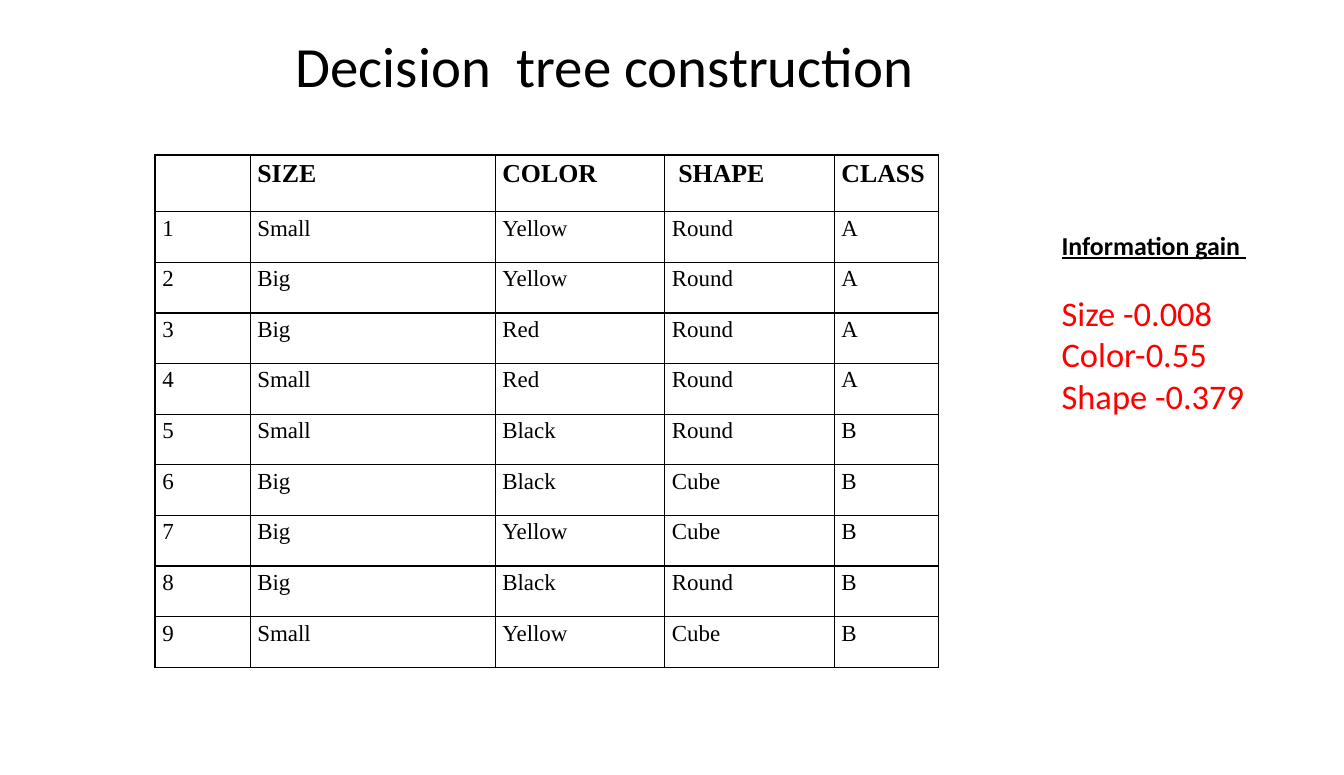
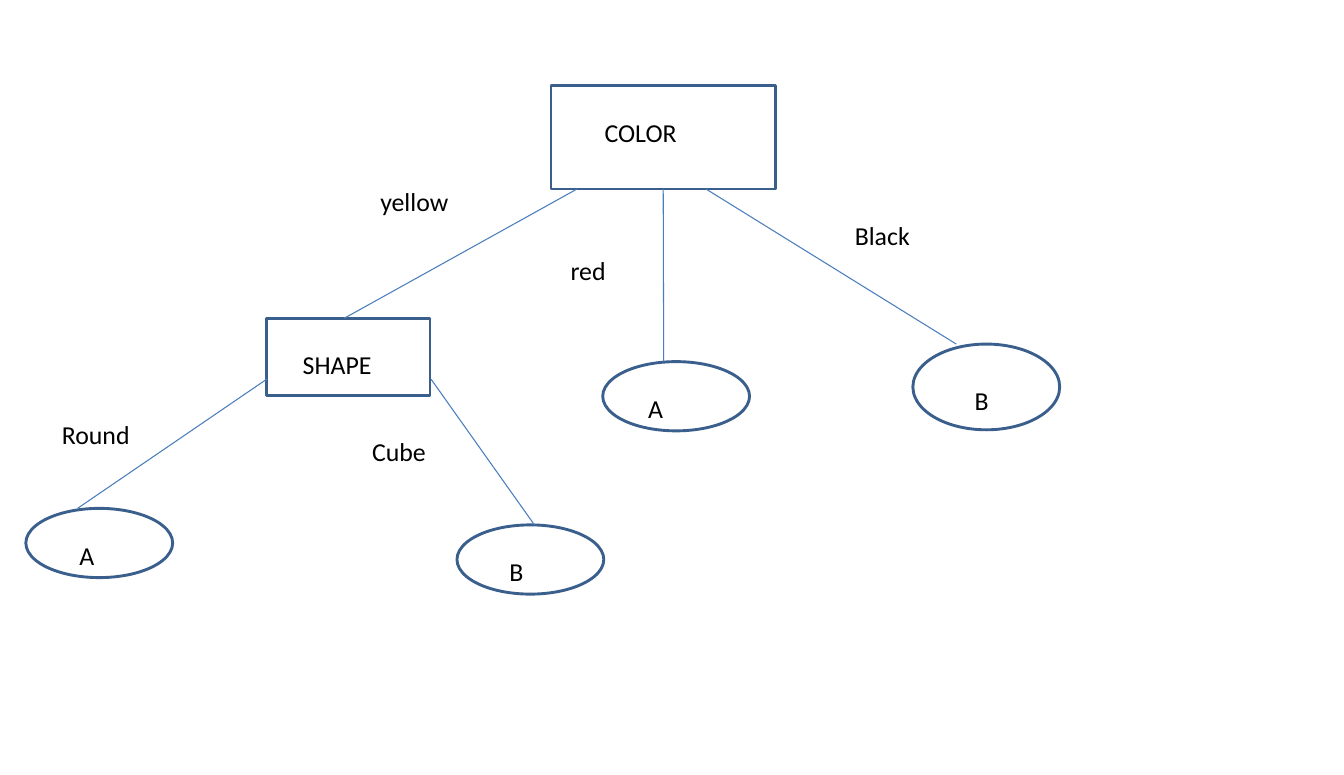
from typing import NamedTuple

from lxml.etree import SubElement
from pptx import Presentation
from pptx.dml.color import RGBColor
from pptx.enum.shapes import MSO_CONNECTOR, MSO_SHAPE
from pptx.enum.text import PP_ALIGN
from pptx.oxml import parse_xml
from pptx.oxml.ns import nsdecls, qn
from pptx.util import Inches, Pt

BLACK = RGBColor(0x00, 0x00, 0x00)
WHITE = RGBColor(0xFF, 0xFF, 0xFF)
RED = RGBColor(0xFF, 0x00, 0x00)
NODE_LINE = RGBColor(0x3A, 0x5F, 0x8C)
EDGE_LINE = RGBColor(0x4B, 0x7E, 0xBC)
BODY_FONT = "Calibri"
TABLE_FONT = "Times New Roman"

COLUMN_WIDTHS = (0.92, 2.37, 1.64, 1.64, 1.01)
HEADER_HEIGHT = 0.55
ROW_HEIGHT = 0.49
HEADER = ("", "SIZE", "COLOR", " SHAPE", "CLASS")
SAMPLES = (
    ("Small", "Yellow", "Round", "A"),
    ("Big", "Yellow", "Round", "A"),
    ("Big", "Red", "Round", "A"),
    ("Small", "Red", "Round", "A"),
    ("Small", "Black", "Round", "B"),
    ("Big", "Black", "Cube", "B"),
    ("Big", "Yellow", "Cube", "B"),
    ("Big", "Black", "Round", "B"),
    ("Small", "Yellow", "Cube", "B"),
)
GAINS = ("Size -0.008", "Color-0.55", "Shape -0.379")


class Area(NamedTuple):
    left: float
    top: float
    width: float
    height: float

    def lengths(self):
        return [Inches(value) for value in self]


class Label(NamedTuple):
    text: str
    area: Area


class Node(NamedTuple):
    kind: MSO_SHAPE
    area: Area
    label: Label


class Edge(NamedTuple):
    start: tuple[float, float]
    end: tuple[float, float]


ROOT = Node(MSO_SHAPE.RECTANGLE, Area(5.33, 0.83, 2.17, 1),
            Label("COLOR", Area(5.75, 1.08, 1.33, 0.42)))
CHILDREN = (
    Node(MSO_SHAPE.RECTANGLE, Area(2.58, 3.08, 1.58, 0.75),
         Label("SHAPE", Area(2.83, 3.33, 1.08, 0.4))),
    Node(MSO_SHAPE.OVAL, Area(5.83, 3.5, 1.42, 0.67),
         Label("A", Area(6.17, 3.75, 0.58, 0.4))),
    Node(MSO_SHAPE.OVAL, Area(8.83, 3.33, 1.42, 0.83),
         Label("B", Area(9.33, 3.67, 0.58, 0.4))),
    Node(MSO_SHAPE.OVAL, Area(0.25, 4.92, 1.42, 0.67),
         Label("A", Area(0.67, 5.17, 0.58, 0.4))),
    Node(MSO_SHAPE.OVAL, Area(4.42, 5.08, 1.42, 0.67),
         Label("B", Area(4.83, 5.33, 0.5, 0.4))),
)
RED_EDGE = Edge((6.42, 1.83), (6.42, 3.5))
SLANTED_EDGES = (
    Edge((5.58, 1.83), (3.33, 3.08)),
    Edge((6.83, 1.83), (9.25, 3.33)),
    Edge((2.58, 3.67), (0.75, 4.92)),
    Edge((4.17, 3.67), (5.17, 5.08)),
)
BRANCH_LABELS = (
    Label("yellow", Area(3.58, 1.75, 1.42, 0.4)),
    Label("red", Area(5.42, 2.42, 0.92, 0.42)),
    Label("Black", Area(8.17, 2.08, 1.83, 0.42)),
    Label("Round", Area(0.5, 4, 1.17, 0.4)),
    Label("Cube", Area(3.5, 4.17, 1.08, 0.4)),
)


def style_paragraph(para, size: float, color: RGBColor = BLACK,
                    bold: bool = False, font: str = BODY_FONT) -> None:
    for span in para.runs:
        span.font.name = font
        span.font.size = Pt(size)
        span.font.bold = bold
        span.font.color.rgb = color


def add_label(page, label: Label, size: float = 18):
    box = page.shapes.add_textbox(*label.area.lengths())
    box.text_frame.word_wrap = True
    box.text_frame.text = label.text
    for para in box.text_frame.paragraphs:
        style_paragraph(para, size)
    return box


def add_title(page, text: str) -> None:
    box = add_label(page, Label(text, Area(0, 0.3, 11.7, 1.25)), 39.6)
    box.text_frame.margin_top = 0
    box.text_frame.paragraphs[0].alignment = PP_ALIGN.CENTER


def add_cell_borders(cell) -> None:
    """Insert the four border lines ahead of the cell's fill, as the schema orders."""
    properties = cell._tc.get_or_add_tcPr()
    for position, side in enumerate(("lnL", "lnR", "lnT", "lnB")):
        properties.insert(position, parse_xml(
            f'<a:{side} {nsdecls("a")} w="{Pt(1)}"><a:solidFill>'
            f'<a:srgbClr val="{BLACK}"/></a:solidFill></a:{side}>'))


def fill_cell(cell, text: str, is_header: bool) -> None:
    cell.margin_left = cell.margin_right = Inches(0.07)
    cell.margin_top = cell.margin_bottom = 0
    cell.fill.solid()
    cell.fill.fore_color.rgb = WHITE
    cell.text_frame.text = text
    para = cell.text_frame.paragraphs[0]
    para.line_spacing = 1.15
    style_paragraph(para, 18 if is_header else 16, bold=is_header, font=TABLE_FONT)
    add_cell_borders(cell)


def add_sample_table(page) -> None:
    rows = [HEADER] + [(str(number), *sample)
                       for number, sample in enumerate(SAMPLES, start=1)]
    area = Area(1.5, 1.5, sum(COLUMN_WIDTHS), HEADER_HEIGHT + ROW_HEIGHT * len(SAMPLES))
    table = page.shapes.add_table(len(rows), len(HEADER), *area.lengths()).table
    table.first_row = table.horz_banding = False
    for column, width in zip(table.columns, COLUMN_WIDTHS):
        column.width = Inches(width)
    for row_index, texts in enumerate(rows):
        is_header = row_index == 0
        table.rows[row_index].height = Inches(HEADER_HEIGHT if is_header else ROW_HEIGHT)
        for column_index, text in enumerate(texts):
            fill_cell(table.cell(row_index, column_index), text, is_header)


def add_gain_list(page) -> None:
    text = "\n".join(("Information gain ", *GAINS))
    box = add_label(page, Label(text, Area(10.17, 2.17, 2.25, 1.92)))
    heading, *gains = box.text_frame.paragraphs
    style_paragraph(heading, 18, bold=True)
    heading.runs[0].font.underline = True
    for para in gains:
        style_paragraph(para, 24, RED)
    gains[0].space_before = Pt(22)


def add_node(page, node: Node):
    shape = page.shapes.add_shape(node.kind, *node.area.lengths())
    shape.shadow.inherit = False
    shape.fill.solid()
    shape.fill.fore_color.rgb = WHITE
    shape.line.color.rgb = NODE_LINE
    shape.line.width = Pt(2)
    add_label(page, node.label)
    return shape


def add_edge(page, edge: Edge):
    ends = [Inches(value) for value in (*edge.start, *edge.end)]
    line = page.shapes.add_connector(MSO_CONNECTOR.STRAIGHT, *ends)
    line.line.color.rgb = EDGE_LINE
    line.line.width = Pt(0.75)
    SubElement(line._element.spPr, qn("a:effectLst"))
    return line


def build_table_page(page) -> None:
    add_title(page, "Decision  tree construction")
    add_sample_table(page)
    add_gain_list(page)


def build_tree_page(page) -> None:
    root_shape = add_node(page, ROOT)
    for node in CHILDREN:
        add_node(page, node)
    add_edge(page, RED_EDGE).begin_connect(root_shape, 2)
    for edge in SLANTED_EDGES:
        add_edge(page, edge)
    for label in BRANCH_LABELS:
        add_label(page, label)


def main() -> None:
    deck = Presentation()
    deck.slide_width, deck.slide_height = Inches(13), Inches(7.5)
    blank = deck.slide_layouts[6]
    for build_page in (build_table_page, build_tree_page):
        build_page(deck.slides.add_slide(blank))
    deck.save("out.pptx")


if __name__ == "__main__":
    main()
